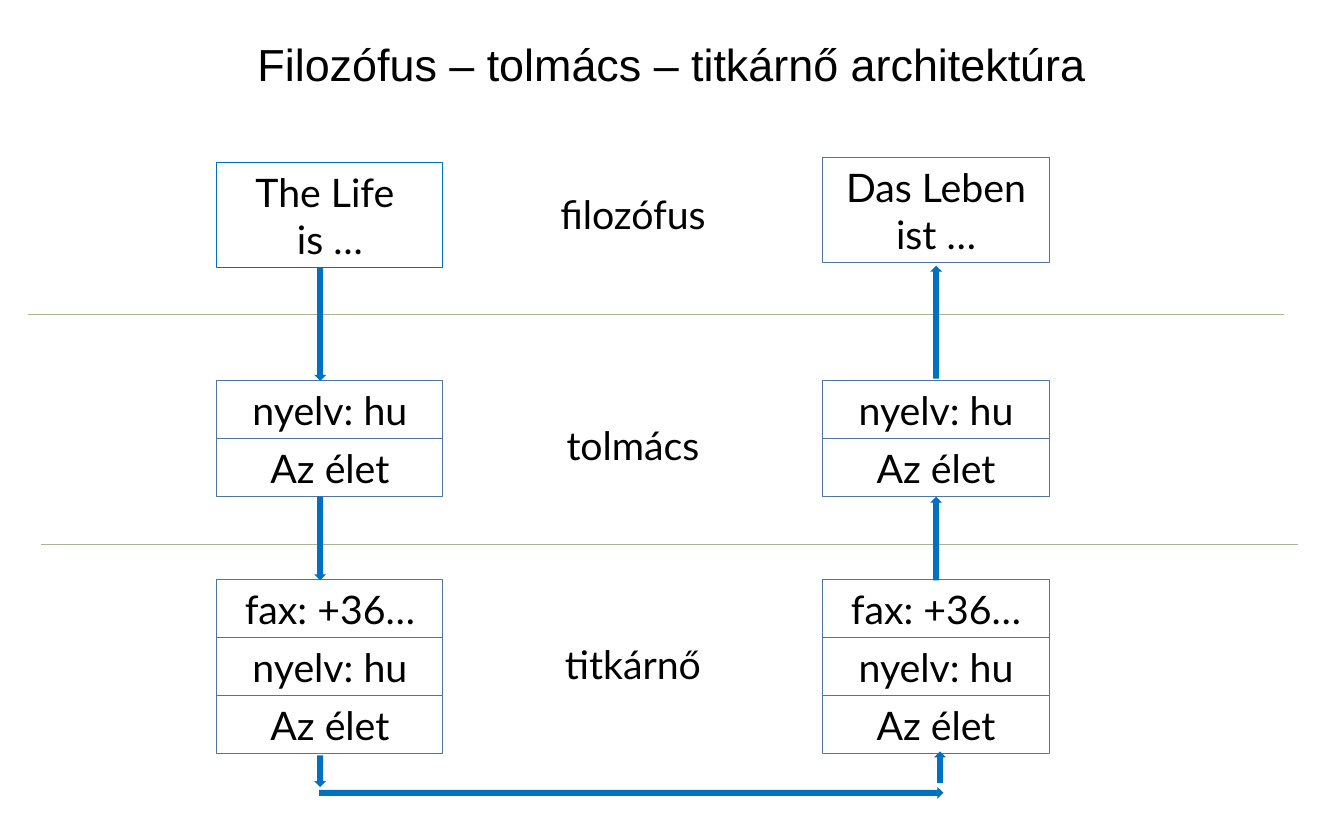
from dataclasses import dataclass

from pptx import Presentation
from pptx.dml.color import RGBColor
from pptx.enum import shapes, text
from pptx.oxml import xmlchemy
from pptx.oxml.ns import qn
from pptx.util import Pt
from lxml import etree


@dataclass(frozen=True)
class Theme:
    ink: RGBColor = RGBColor(0x00, 0x00, 0x00)
    flow: RGBColor = RGBColor(0x00, 0x70, 0xC0)
    border: RGBColor = RGBColor(0x4E, 0x75, 0xA3)
    divider: RGBColor = RGBColor(0xA5, 0xB5, 0x92)
    title_font: str = "Arial"
    body_font: str = "Lato"
    title_size: int = 32
    body_size: int = 28


THEME = Theme()
SLIDE_WIDTH, SLIDE_HEIGHT = 958.3, 595.4
LEFT_X, RIGHT_X, BOX_WIDTH = 154.6, 586.8, 161.3
ROW_HEIGHT, PHILOSOPHER_HEIGHT = 41.3, 75
ARROW_WIDTH = 8.6
TRANSLATOR_TOP, SECRETARY_TOP = 271.4, 413.4


def write(frame, lines, font=THEME.body_font, size=THEME.body_size):
    frame.word_wrap = True
    frame.vertical_anchor = text.MSO_ANCHOR.MIDDLE
    frame.text = "\n".join(lines)
    for paragraph in frame.paragraphs:
        paragraph.alignment = text.PP_ALIGN.CENTER
        paragraph.font.name = font
        paragraph.font.size = Pt(size)
        paragraph.font.color.rgb = THEME.ink


def add_label(slide, wording, left, top, width, height, **style):
    label = slide.shapes.add_textbox(Pt(left), Pt(top), Pt(width), Pt(height))
    write(label.text_frame, [wording], **style)
    return label


def add_box(slide, lines, left, top, height=ROW_HEIGHT, border=THEME.border):
    box = slide.shapes.add_shape(
        shapes.MSO_SHAPE.RECTANGLE, Pt(left), Pt(top), Pt(BOX_WIDTH), Pt(height))
    box.shadow.inherit = False
    box.fill.background()
    box.line.color.rgb = border
    box.line.width = Pt(0.75)
    write(box.text_frame, lines)


def add_message(slide, rows, left, top):
    for index, row in enumerate(rows):
        add_box(slide, [row], left, top + index * ROW_HEIGHT)


def add_divider(slide, left, right, y):
    divider = slide.shapes.add_connector(
        shapes.MSO_CONNECTOR.STRAIGHT, Pt(left), Pt(y), Pt(right), Pt(y))
    divider.line.color.rgb = THEME.divider
    divider.line.width = Pt(0.5)
    etree.SubElement(divider.element.spPr, qn("a:effectLst"))


def add_arrow(slide, direction, left, top, width, height):
    arrow = slide.shapes.add_shape(direction, Pt(left), Pt(top), Pt(width), Pt(height))
    arrow.shadow.inherit = False
    arrow.fill.solid()
    arrow.fill.fore_color.rgb = THEME.flow
    arrow.line.fill.background()


def main():
    deck = Presentation()
    deck.slide_width, deck.slide_height = Pt(SLIDE_WIDTH), Pt(SLIDE_HEIGHT)
    slide = deck.slides.add_slide(deck.slide_layouts[6])

    title = add_label(slide, "Filozófus – tolmács – titkárnő architektúra",
                      0, 25.2, SLIDE_WIDTH, 45.4,
                      font=THEME.title_font, size=THEME.title_size)
    title.text_frame.paragraphs[0].line_spacing = 0.89

    add_box(slide, ["The Life ", "is …"], LEFT_X, 116, PHILOSOPHER_HEIGHT, THEME.flow)
    add_box(slide, ["Das Leben ist …"], RIGHT_X, 112.4, PHILOSOPHER_HEIGHT)

    translated = ["nyelv: hu", "Az élet"]
    for left in (LEFT_X, RIGHT_X):
        add_message(slide, translated, left, TRANSLATOR_TOP)
        add_message(slide, ["fax: +36…", *translated], left, SECRETARY_TOP)

    role_left = LEFT_X + BOX_WIDTH
    for role, top in (("filozófus", 132), ("tolmács", 296.2), ("titkárnő", 452.4)):
        add_label(slide, role, role_left, top, RIGHT_X - role_left, ROW_HEIGHT)

    add_divider(slide, 19.8, 915.6, 224.2)
    add_divider(slide, 29.4, 925.4, 388.2)

    down, up = shapes.MSO_SHAPE.DOWN_ARROW, shapes.MSO_SHAPE.UP_ARROW
    for direction, left, top, length in (
            (down, 224, 191, 80.6), (down, 224, 354.2, 59.6), (down, 224, 538.6, 22.6),
            (up, 663.2, 189.4, 80.6), (up, 663.2, 354.2, 59.6), (up, 666, 535.8, 22.6)):
        add_arrow(slide, direction, left, top, ARROW_WIDTH, length)
    add_arrow(slide, shapes.MSO_SHAPE.RIGHT_ARROW, 227.6, 561, 445, ARROW_WIDTH)

    deck.save("out.pptx")


if __name__ == "__main__":
    main()
